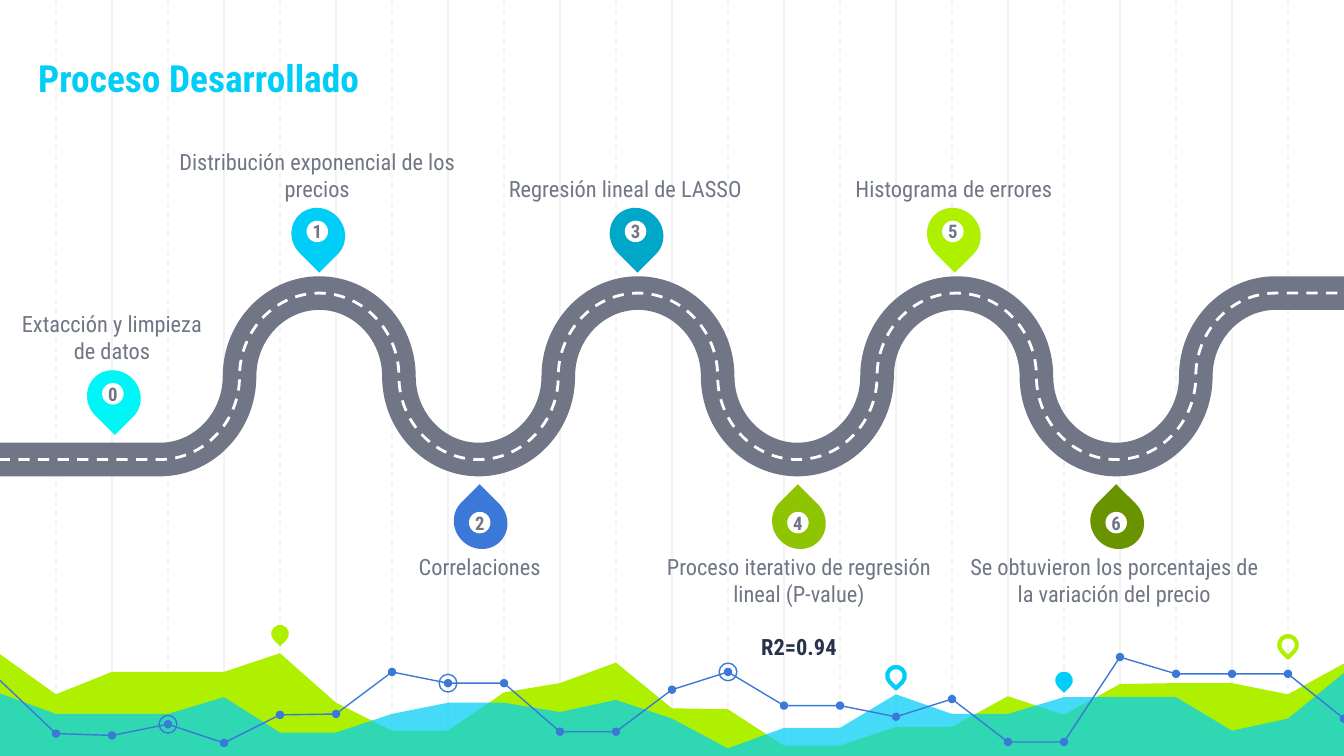
from lxml.etree import SubElement
from pptx import Presentation
from pptx.dml.color import RGBColor
from pptx.enum.dml import MSO_LINE
from pptx.enum.shapes import MSO_CONNECTOR, MSO_SHAPE as SHAPE
from pptx.enum.text import MSO_ANCHOR as ANCHOR, PP_ALIGN
from pptx.oxml.ns import qn
from pptx.util import Pt

W, H, STEP = 720, 405, 30
FONT = "Roboto Condensed"
GRAY, WHITE, NAVY = "707685", "FFFFFF", "28324A"
CYAN, LIME, BLUE, GRID = "00CEF6", "AFF000", "3C78D8", "F3F3F3"

# Content: number, caption, pin centre x, pin top, points down, colour, caption left, caption width
STEPS = [
    ("0", "Extacción y limpieza de datos", 61, 198, True, "00F6F6", 9, 102),
    ("1", "Distribución exponencial de los precios", 170.5, 111, True, CYAN, 93.5, 153),
    ("2", "Correlaciones", 257.5, 265, False, BLUE, 203, 108),
    ("3", "Regresión lineal de LASSO", 341, 111, True, "00A7C8", 269, 132),
    ("4", "Proceso iterativo de regresión lineal (P-value)", 428, 265, False, "8EC400", 356.5, 143),
    ("5", "Histograma de errores", 511, 111, True, LIME, 445, 132),
    ("6", "Se obtuvieron los porcentajes de la variación del precio", 598.5, 265, False, "6A9300",
     517, 160),
]
RESULT = {"4": "R2=0.94"}

# Decorative chart: one height per grid column, from the left edge
LIME_AREA = [350.5, 372, 360, 360, 360, 350, 376.5, 391.5, 391.5, 371, 366, 355, 379.5, 380,
             399.5, 399.5, 389.5, 389.5, 373, 383, 366.5, 366, 366, 372, 355.5]
CYAN_AREA = [371.5, 382.5, 382.5, 382.5, 373.5, 392.5, 392.5, 382.5, 376.5, 376.5, 381.5, 375,
             385, 401, 390, 390, 372, 382.5, 382.5, 373.5, 373.5, 373.5, 391.5, 385, 360.5]
LINE = [364.5, 393, 394, 388, 398, 383, 382.5, 360, 366, 366, 392, 392, 369.5, 360, 378, 378,
        384, 374.5, 397.5, 397.5, 352, 361, 361, 361, 385]
RINGED = [3, 8, 13]
MARKERS = [(5, 339.5, LIME, True), (16, 362, CYAN, False),
           (19, 364.5, CYAN, True), (23, 345.5, LIME, False)]

prs = Presentation()
prs.slide_width, prs.slide_height = Pt(W), Pt(H)
s = prs.slides.add_slide(prs.slide_layouts[6])


def rgb(color):
    return RGBColor.from_string(color)


def paint(sp, fill=None, line=None, width=0.75, dash=None):
    sp.shadow.inherit = False
    if fill:
        sp.fill.solid()
        sp.fill.fore_color.rgb = rgb(fill)
    else:
        sp.fill.background()
    if line:
        sp.line.color.rgb = rgb(line)
        sp.line.width = Pt(width)
        if dash:
            sp.line.dash_style = dash
    else:
        sp.line.fill.background()
    return sp


def centred(kind, cx, cy, w, h, rotation=0, **look):
    sp = s.shapes.add_shape(kind, Pt(cx - w / 2), Pt(cy - h / 2), Pt(w), Pt(h))
    sp.rotation = rotation
    return paint(sp, **look)


def outline(points, close=False, **look):
    (x, y), *rest = [(Pt(x), Pt(y)) for x, y in points]
    builder = s.shapes.build_freeform(x, y)
    builder.add_line_segments(rest, close=close)
    return paint(builder.convert_to_shape(), **look)


def write(tf, text, size=12, color=GRAY, bold=False, anchor=ANCHOR.TOP, inset=0, wrap=True,
          new=False, before=0):
    tf.word_wrap, tf.vertical_anchor = wrap, anchor
    tf.margin_left = tf.margin_right = tf.margin_top = tf.margin_bottom = Pt(inset)
    p = tf.add_paragraph() if new else tf.paragraphs[0]
    p.alignment = PP_ALIGN.CENTER
    if before:
        p.space_before = Pt(before)
    r = p.add_run()
    r.text = text
    r.font.name, r.font.size, r.font.bold = FONT, Pt(size), bold
    r.font.color.rgb = rgb(color)


def textbox(x, y, w, h):
    return s.shapes.add_textbox(Pt(x), Pt(y), Pt(w), Pt(h)).text_frame


# Background grid: solid and dashed lines alternate
for k in range(1, W // STEP):
    c = s.shapes.add_connector(MSO_CONNECTOR.STRAIGHT, Pt(k * STEP), 0, Pt(k * STEP), Pt(H))
    c.line.color.rgb, c.line.width = rgb(GRID), Pt(0.75)
    if k % 2:
        c.line.dash_style = MSO_LINE.DASH
    SubElement(c._element.spPr, qn("a:effectLst"))


# Areas, line and markers along the bottom
def columns(heights):
    return [(k * STEP, y) for k, y in enumerate(heights)]


base = [(W, H), (0, H)]
outline(columns(LIME_AREA) + base, close=True, fill=LIME)
area = outline(columns(CYAN_AREA) + base, close=True, fill=CYAN)
tint = area._element.spPr.find(qn("a:solidFill"))[0]
SubElement(tint, qn("a:alpha")).set("val", "73000")

for k, y, color, filled in MARKERS:
    look = {"fill": color} if filled else {"line": color, "width": 2.25}
    centred(SHAPE.TEAR, k * STEP, y, 9.5, 9.5, 135, **look)

outline(columns(LINE), line=BLUE)
for k, (x, y) in enumerate(columns(LINE)):
    if k:
        centred(SHAPE.OVAL, x, y, 4.5, 4.5, fill=BLUE)
    if k in RINGED:
        centred(SHAPE.OVAL, x, y, 9.5, 9.5, line=BLUE)

# Road: quarter ellipses from the upper right to the lower left
ROAD_RIGHT, BEND, TOP, MID, BOTTOM = 769, 683.3, 157, 201.6, 246.2
QUARTER, QUARTERS, KAPPA = 42.69, 14, 0.55
levels = [TOP, MID, BOTTOM, MID]
road = [(ROAD_RIGHT, TOP), (BEND, TOP)]
for i in range(QUARTERS):
    x0, x1 = BEND - i * QUARTER, BEND - (i + 1) * QUARTER
    y0, y1 = levels[i % 4], levels[(i + 1) % 4]
    dx, dy = KAPPA * (x1 - x0), KAPPA * (y1 - y0)
    if i % 2:
        road += [(x0, y0 + dy), (x1 - dx, y1), (x1, y1)]
    else:
        road += [(x0 + dx, y0), (x1, y1 - dy), (x1, y1)]
road.append((0, BOTTOM))


def draw_road(**look):
    sp = outline(road, **look)
    path = next(sp._element.iter(qn("a:path")))
    segments = list(path)[2:-1]
    # Each three points become the controls and end of one curve
    for first in range(0, len(segments), 3):
        curve = SubElement(path, qn("a:cubicBezTo"))
        segments[first].addprevious(curve)
        for segment in segments[first:first + 3]:
            curve.append(segment[0])
            path.remove(segment)


draw_road(line=GRAY, width=18)
draw_road(line=WHITE, width=1.5, dash=MSO_LINE.DASH)

# Numbered pins and captions
PIN_W, PIN_H, DISC, CAPTION_H = 28, 29.5, 11.5, 47
for number, caption, cx, top, down, color, left, width in STEPS:
    centred(SHAPE.TEAR, cx, top + PIN_H / 2, PIN_W, PIN_H, 135 if down else 315, fill=color)
    disc = centred(SHAPE.OVAL, cx - 0.5, top + (13 if down else 15), DISC, DISC, fill=WHITE)
    write(disc.text_frame, number, size=10, bold=True, anchor=ANCHOR.MIDDLE, wrap=False)
    tf = textbox(left, top - 50 if down else top + 31.5, width, CAPTION_H)
    anchor = ANCHOR.BOTTOM if down else ANCHOR.TOP
    write(tf, caption, anchor=anchor)
    if number in RESULT:
        write(tf, RESULT[number], color=NAVY, bold=True, new=True, before=14)

# Title
write(textbox(-21, 5, 255, 56), "Proceso Desarrollado", size=20, color=CYAN, bold=True,
      anchor=ANCHOR.BOTTOM, inset=7.2)

prs.save("out.pptx")
